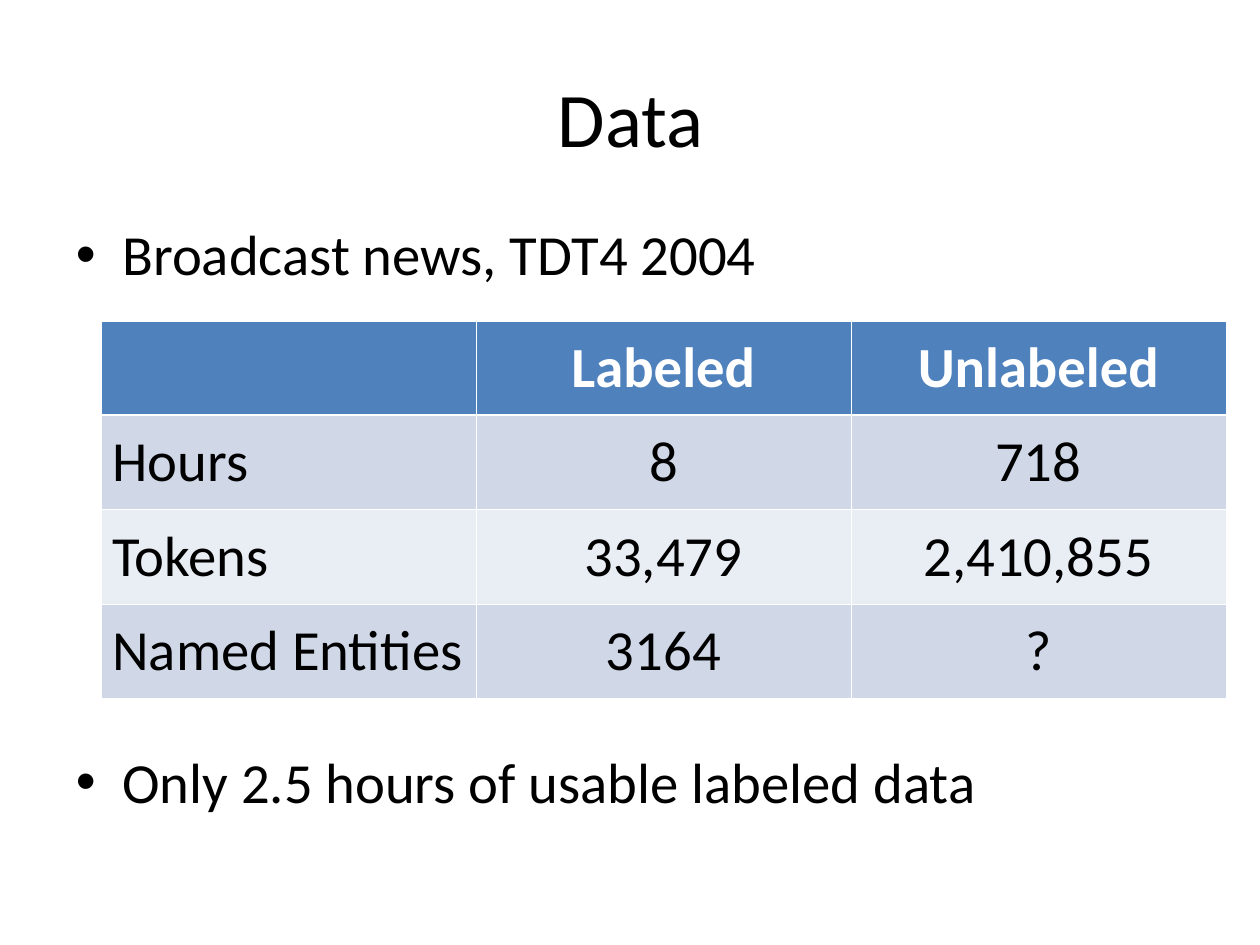
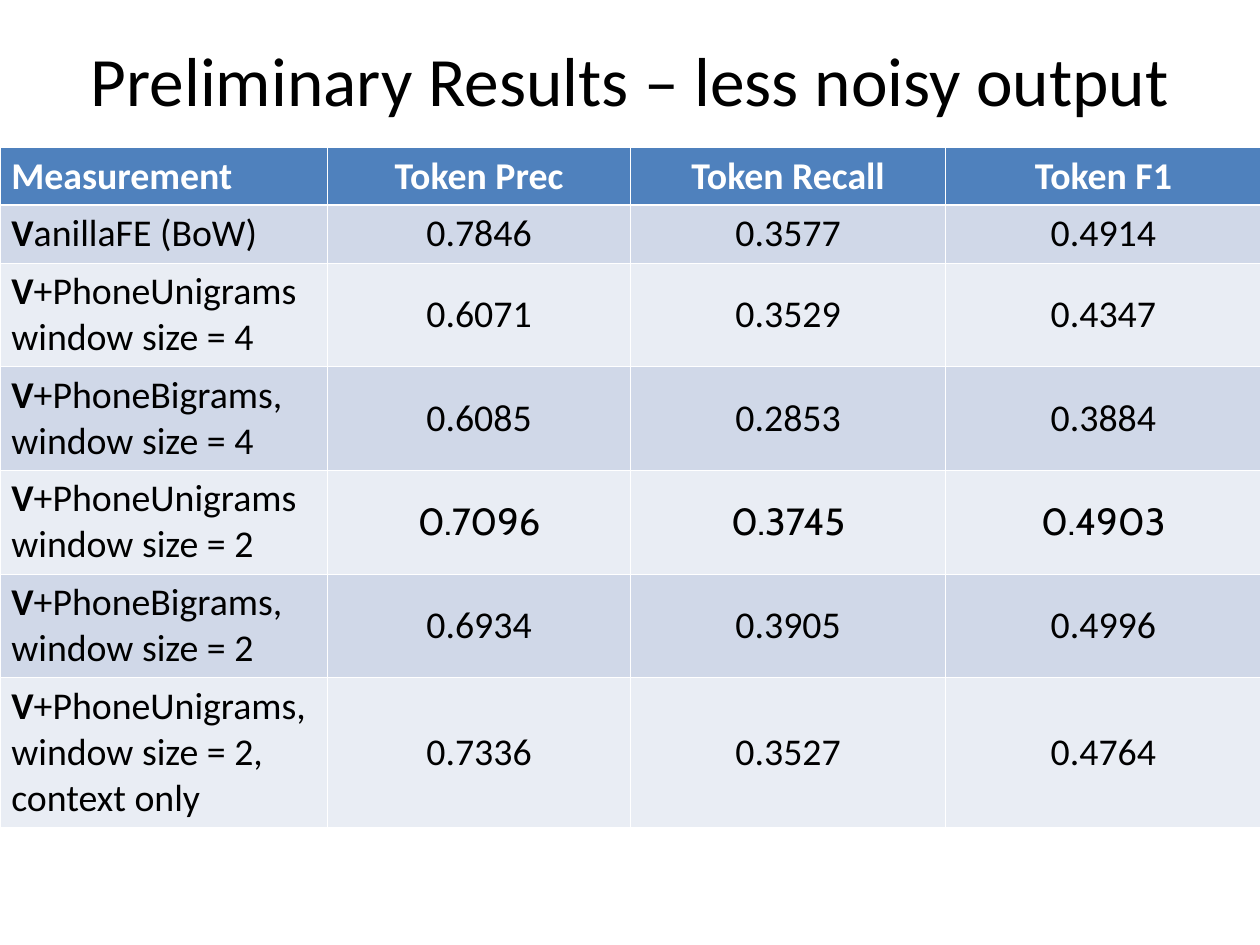
"""Build two slides on speech data and preliminary results, each with a table."""
from dataclasses import dataclass

from lxml.etree import SubElement
from pptx import Presentation
from pptx.dml.color import RGBColor
from pptx.enum.text import MSO_ANCHOR, MSO_AUTO_SIZE, PP_ALIGN
from pptx.oxml import parse_xml
from pptx.oxml.ns import nsdecls, qn
from pptx.slide import Slide
from pptx.table import _Cell
from pptx.text.text import TextFrame, _Paragraph
from pptx.util import Cm, Inches, Pt

COLORS = {
    "text": "000000",
    "white": "FFFFFF",
    "header": "4F81BD",
    "odd": "D0D8E8",
    "even": "E9EDF4",
}
FONT = "Calibri"
ACCENT_FONT = "Cabin"
THIN, THICK = 0.45, 1.47


@dataclass(frozen=True)
class TableSpec:
    left: float
    top: float
    widths: list[float]
    heights: list[float]
    rows: list[list[str]]
    size: float
    bold_prefix: str = ""
    accent_row: int | None = None


DATA = TableSpec(
    left=0.89, top=2.83, widths=[9.92 / 3] * 3, heights=[3.33 / 4] * 4, size=36,
    rows=[
        ["", "Labeled", "Unlabeled"],
        ["Hours", "8", "718"],
        ["Tokens", "33,479", "2,410,855"],
        ["Named Entities", "3164", "?"],
    ],
)
RESULTS = TableSpec(
    left=0, top=1.3, widths=[2.89, 2.67, 2.78, 2.78],
    heights=[0.51] * 2 + [0.91] * 4 + [1.32], size=24,
    bold_prefix="V", accent_row=4,
    rows=[
        ["Measurement", "Token Prec", "Token Recall", "Token F1"],
        ["VanillaFE (BoW)", "0.7846", "0.3577", "0.4914"],
        ["V+PhoneUnigrams\nwindow size = 4", "0.6071", "0.3529", "0.4347"],
        ["V+PhoneBigrams,\nwindow size = 4", "0.6085", "0.2853", "0.3884"],
        ["V+PhoneUnigrams\nwindow size = 2", "0.7096", "0.3745", "0.4903"],
        ["V+PhoneBigrams,\nwindow size = 2", "0.6934", "0.3905", "0.4996"],
        ["V+PhoneUnigrams, window size = 2, context only",
         "0.7336", "0.3527", "0.4764"],
    ],
)


def write(tf: TextFrame, text: str, *, size: float, color: str = "text",
          font: str = FONT, bold: bool = False, bold_prefix: str = "",
          align: PP_ALIGN = PP_ALIGN.LEFT) -> list[_Paragraph]:
    """Fill a text frame with one paragraph per line and return them."""
    tf.word_wrap = True
    paragraphs = []
    for i, line in enumerate(text.split("\n")):
        p = tf.add_paragraph() if i else tf.paragraphs[0]
        p.alignment = align
        prefix = bold_prefix if line.startswith(bold_prefix) else ""
        for part, strong in ((prefix, True), (line.removeprefix(prefix), bold)):
            if part:
                r = p.add_run()
                r.text = part
                r.font.name, r.font.size, r.font.bold = font, Pt(size), strong
                r.font.color.rgb = RGBColor.from_string(COLORS[color])
        paragraphs.append(p)
    return paragraphs


def set_margins(tf: TextFrame) -> None:
    """Apply the insets shared by titles and body text."""
    tf.margin_left = tf.margin_right = Inches(0.11)
    tf.margin_top = tf.margin_bottom = Inches(0.06)


def add_titled_slide(prs: Presentation, title: str, *, top: float,
                     size: float) -> Slide:
    """Add a title-only slide with a centred title."""
    s = prs.slides.add_slide(prs.slide_layouts[5])
    sp = s.shapes.title
    sp.left, sp.top = Inches(0.56), Inches(top)
    sp.width, sp.height = Inches(10), Inches(1.39)
    tf = sp.text_frame
    set_margins(tf)
    tf.vertical_anchor = MSO_ANCHOR.MIDDLE
    tf.auto_size = MSO_AUTO_SIZE.NONE
    write(tf, title, size=size, align=PP_ALIGN.CENTER)
    return s


def add_bullets(s: Slide, text: str, spacing: list[float]) -> None:
    """Add a bulleted body with the given space before each paragraph."""
    sp = s.shapes.add_textbox(Inches(0.56), Inches(1.94), Inches(10), Inches(5.5))
    set_margins(sp.text_frame)
    for p, before in zip(write(sp.text_frame, text, size=36), spacing):
        p.line_spacing, p.space_before = 0.9, Pt(before)
        pr = p._p.get_or_add_pPr()
        pr.set("marL", str(Inches(0.41)))
        pr.set("indent", str(-Inches(0.41)))
        SubElement(pr, qn("a:buFont")).set("typeface", "Arial")
        SubElement(pr, qn("a:buChar")).set("char", "•")


def set_borders(cell: _Cell, row: int) -> None:
    """Draw white cell borders, thicker below the header row."""
    sides = {"L": THIN, "R": THIN, "T": THICK if row == 1 else THIN,
             "B": THICK if row == 0 else THIN}
    pr = cell._tc.get_or_add_tcPr()
    for i, (side, width) in enumerate(sides.items()):
        pr.insert(i, parse_xml(
            f'<a:ln{side} {nsdecls("a")} w="{Pt(width)}"><a:solidFill>'
            f'<a:srgbClr val="{COLORS["white"]}"/></a:solidFill></a:ln{side}>'))


def add_data_table(s: Slide, spec: TableSpec) -> None:
    """Add a table with a header, striped rows and centred values."""
    table = s.shapes.add_table(
        len(spec.heights), len(spec.widths), Inches(spec.left), Inches(spec.top),
        Inches(sum(spec.widths)), Inches(sum(spec.heights))).table
    table.horz_banding = False
    for column, width in zip(table.columns, spec.widths):
        column.width = Inches(width)
    for i, (height, values) in enumerate(zip(spec.heights, spec.rows)):
        table.rows[i].height = Inches(height)
        fill = "header" if i == 0 else "odd" if i % 2 else "even"
        for j, value in enumerate(values):
            cell = table.cell(i, j)
            cell.vertical_anchor = MSO_ANCHOR.MIDDLE
            cell.fill.solid()
            cell.fill.fore_color.rgb = RGBColor.from_string(COLORS[fill])
            set_borders(cell, i)
            write(cell.text_frame, value, size=spec.size, bold=i == 0,
                  color="text" if i else "white",
                  font=ACCENT_FONT if j and i == spec.accent_row else FONT,
                  bold_prefix="" if j else spec.bold_prefix,
                  align=PP_ALIGN.CENTER if j else PP_ALIGN.LEFT)


def main() -> None:
    """Build and save the presentation."""
    prs = Presentation()
    prs.slide_width = Cm(28.22)
    prs.slide_height = Cm(21.17)

    s = add_titled_slide(prs, "Data", top=0.33, size=49)
    add_bullets(s, "Broadcast news, TDT4 2004\nOnly 2.5 hours of usable labeled data",
                [9, 296])
    add_data_table(s, DATA)

    s = add_titled_slide(prs, "Preliminary Results – less noisy output",
                         top=0, size=44)
    add_data_table(s, RESULTS)

    prs.save("out.pptx")


if __name__ == "__main__":
    main()
